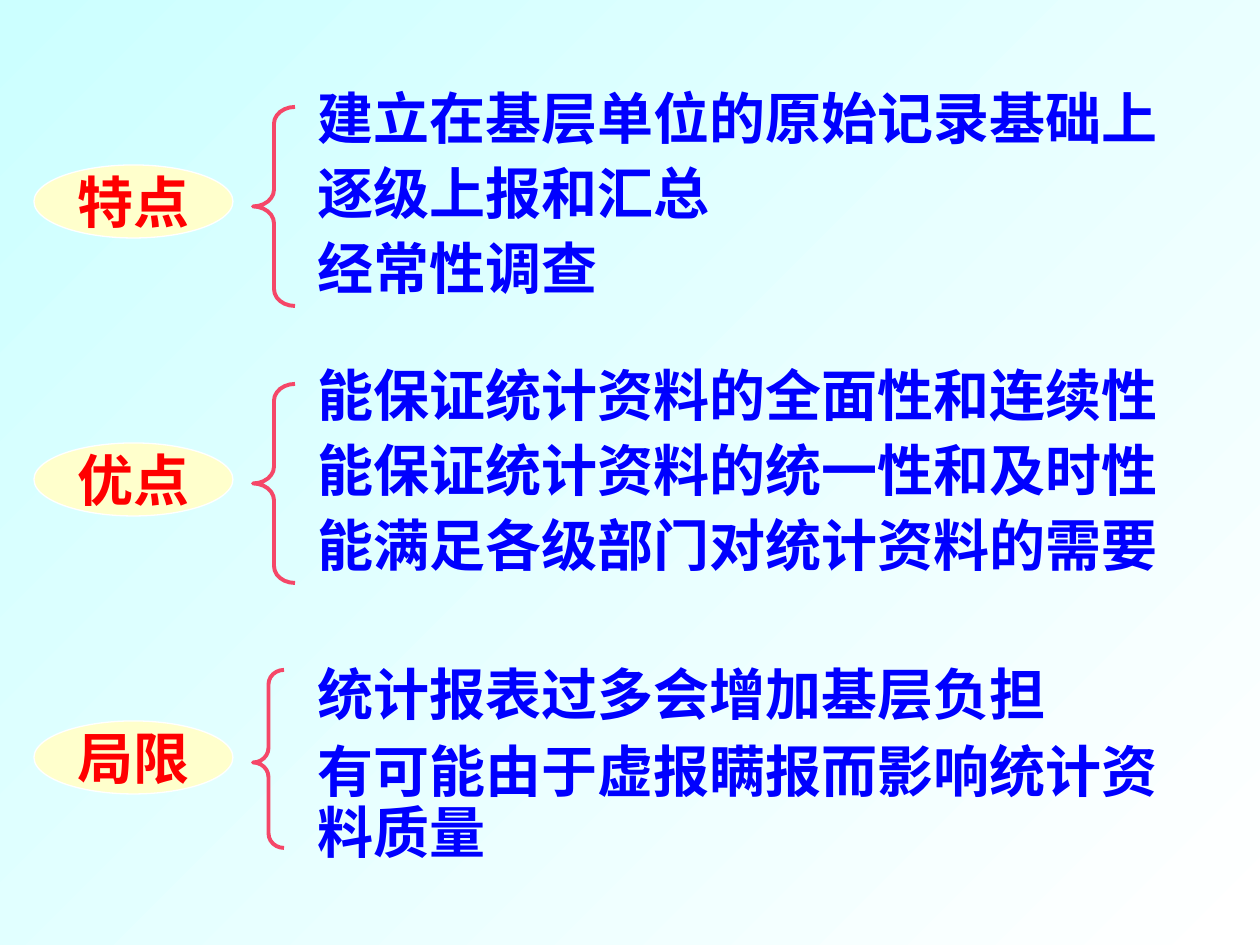
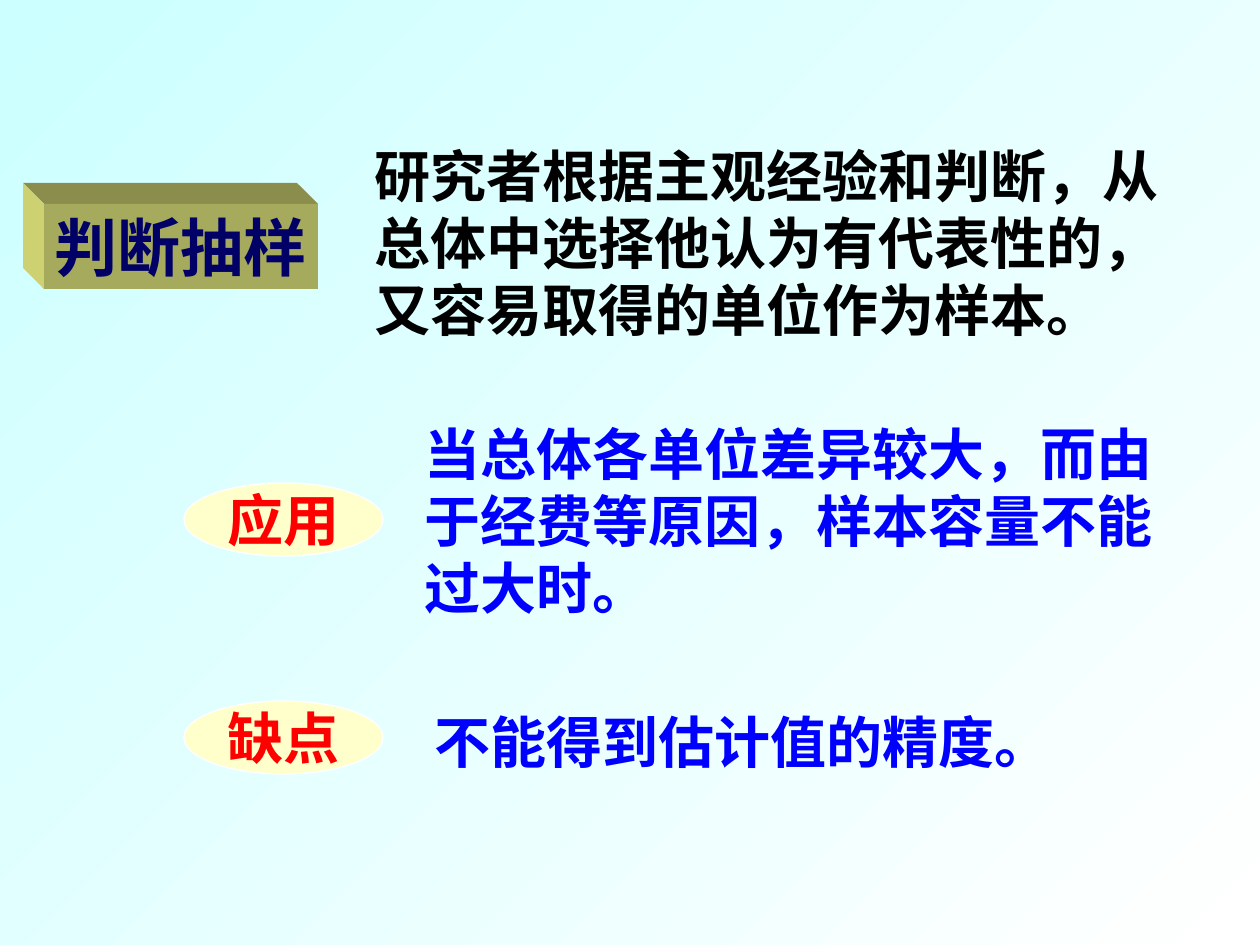
from pptx import Presentation
from pptx import util as u
from pptx.dml import color
from pptx.enum import shapes, text

PX = 914400 / 126
COLORS = {
    "sky": "CCFFFF", "white": "FFFFFF", "cream": "FFFFCC",
    "red": "FF0000", "blue": "0000FF", "black": "000000", "navy": "000066",
    "brace": "F54768", "front": "A6AA5C", "top": "8B8D4D", "side": "CDD172",
}
LATIN, CJK = "Times New Roman", "Noto Sans CJK SC"


def px(n):
    return u.Emu(round(n * PX))


def rgb(name):
    return color.RGBColor.from_string(COLORS[name])


def set_background(prs):
    fill = prs.slide_master.background.fill
    fill.gradient()
    fill.gradient_angle = 315
    for stop, position, name in zip(fill.gradient_stops, (0, 1), ("sky", "white")):
        stop.position = position
        stop.color.rgb = rgb(name)


def style(sp, fill=None, line=None, width=0.75):
    sp.shadow.inherit = False
    if fill:
        sp.fill.solid()
        sp.fill.fore_color.rgb = rgb(fill)
    else:
        sp.fill.background()
    if line:
        sp.line.color.rgb = rgb(line)
        sp.line.width = u.Pt(width)
    else:
        sp.line.fill.background()


def add_shape(parent, kind, box, **look):
    sp = parent.shapes.add_shape(kind, *map(px, box))
    style(sp, **look)
    return sp


def write(sp, lines, ink, size=32, font=LATIN, before=0, **layout):
    tf = sp.text_frame
    for i, line in enumerate(lines):
        p = tf.paragraphs[0] if i == 0 else tf.add_paragraph()
        for key, value in layout.items():
            setattr(p, key, value)
        if i:
            p.space_before = u.Pt(before)
        r = p.add_run()
        r.text = line
        for key, value in {"name": font, "size": u.Pt(size), "bold": True}.items():
            setattr(r.font, key, value)
        r.font.color.rgb = rgb(ink)


def write_centred(sp, label, ink, size=32):
    for key, value in {"word_wrap": False, "vertical_anchor": text.MSO_ANCHOR.MIDDLE}.items():
        setattr(sp.text_frame, key, value)
    write(sp, [label], ink, size, alignment=text.PP_ALIGN.CENTER)


def add_text(parent, box, lines, ink="blue", **layout):
    sp = parent.shapes.add_textbox(*map(px, box))
    sp.text_frame.word_wrap = True
    write(sp, lines, ink, **layout)


def add_oval(s, left, top, label):
    sp = add_shape(s, shapes.MSO_SHAPE.OVAL, (left, top, 199, 73), fill="cream", line="white")
    write_centred(sp, label, "red")


def add_braced_list(s, text_box, brace_box, bends, lines, **layout):
    group = s.shapes.add_group_shape()
    add_text(group, text_box, lines, **layout)
    brace = add_shape(group, shapes.MSO_SHAPE.LEFT_BRACE, brace_box, line="brace", width=2.25)
    for i, bend in enumerate(bends):
        brace.adjustments[i] = bend


def add_face(s, points, fill):
    builder = s.shapes.build_freeform(*points[0], scale=PX)
    builder.add_line_segments(points[1:], close=True)
    style(builder.convert_to_shape(), fill=fill)


def add_block(s, left, top, width, height, depth, label):
    right, bottom = left + width, top + height
    back_left, back_top = left - depth, top - depth
    add_face(s, [(left, top), (back_left, back_top), (right - depth, back_top), (right, top)], "top")
    add_face(s, [(left, top), (back_left, back_top), (back_left, bottom - depth), (left, bottom)], "side")
    front = add_shape(s, shapes.MSO_SHAPE.RECTANGLE, (left, top, width, height), fill="front")
    write_centred(front, label, "navy", 36)


def build_report_slide(s):
    for i, label in enumerate(("特点", "优点", "局限")):
        add_oval(s, 34, 165 + 278 * i, label)
    triples = (
        ("建立在基层单位的原始记录基础上", "逐级上报和汇总", "经常性调查"),
        ("能保证统计资料的全面性和连续性", "能保证统计资料的统一性和及时性",
         "能满足各级部门对统计资料的需要"),
    )
    for i, lines in enumerate(triples):
        top = 96 + 277 * i
        add_braced_list(s, (305, top, 987, 222), (253, top + 11, 42, 199), (0.4, 0.5),
                        lines, line_spacing=0.7, before=16)
    add_braced_list(s, (305, 661, 913, 214), (253, 670, 31, 178), (0.47, 0.52),
                    ("统计报表过多会增加基层负担", "有可能由于虚报瞒报而影响统计资料质量"),
                    line_spacing=0.9, before=9.6)


def build_sampling_slide(s):
    add_text(s, (362, 135, 858, 214),
             ["研究者根据主观经验和判断，从总体中选择他认为有代表性的，又容易取得的单位作为样本。"],
             "black", font=CJK)
    add_oval(s, 184, 483, "应用")
    add_oval(s, 184, 701, "缺点")
    add_text(s, (412, 413, 804, 214),
             ["当总体各单位差异较大，而由于经费等原因，样本容量不能过大时。"])
    add_text(s, (422, 701, 674, 79), ["不能得到估计值的精度。"])
    add_block(s, 44, 204, 274, 85, 21, "判断抽样")


def main():
    prs = Presentation()
    prs.slide_width, prs.slide_height = px(1260), px(945)
    set_background(prs)
    for build in (build_report_slide, build_sampling_slide):
        build(prs.slides.add_slide(prs.slide_layouts[6]))
    prs.save("out.pptx")


if __name__ == "__main__":
    main()
